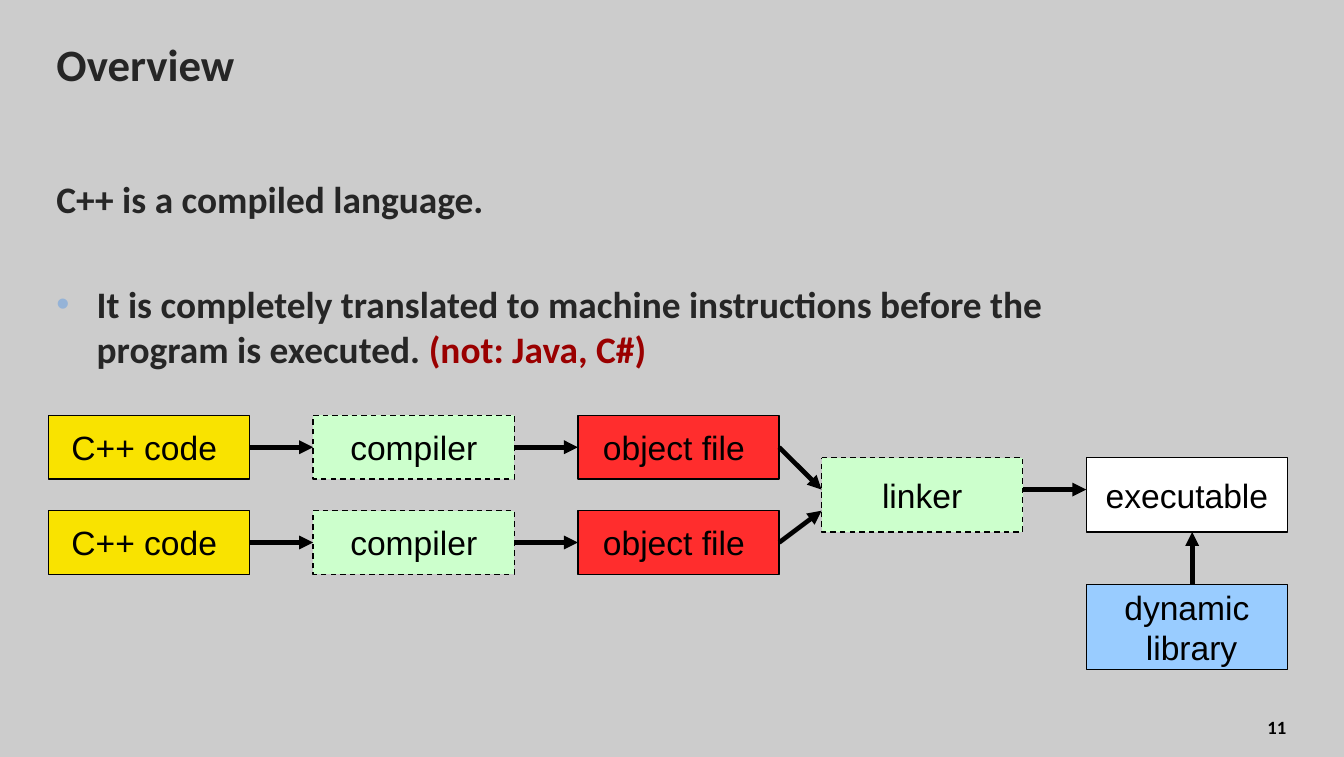
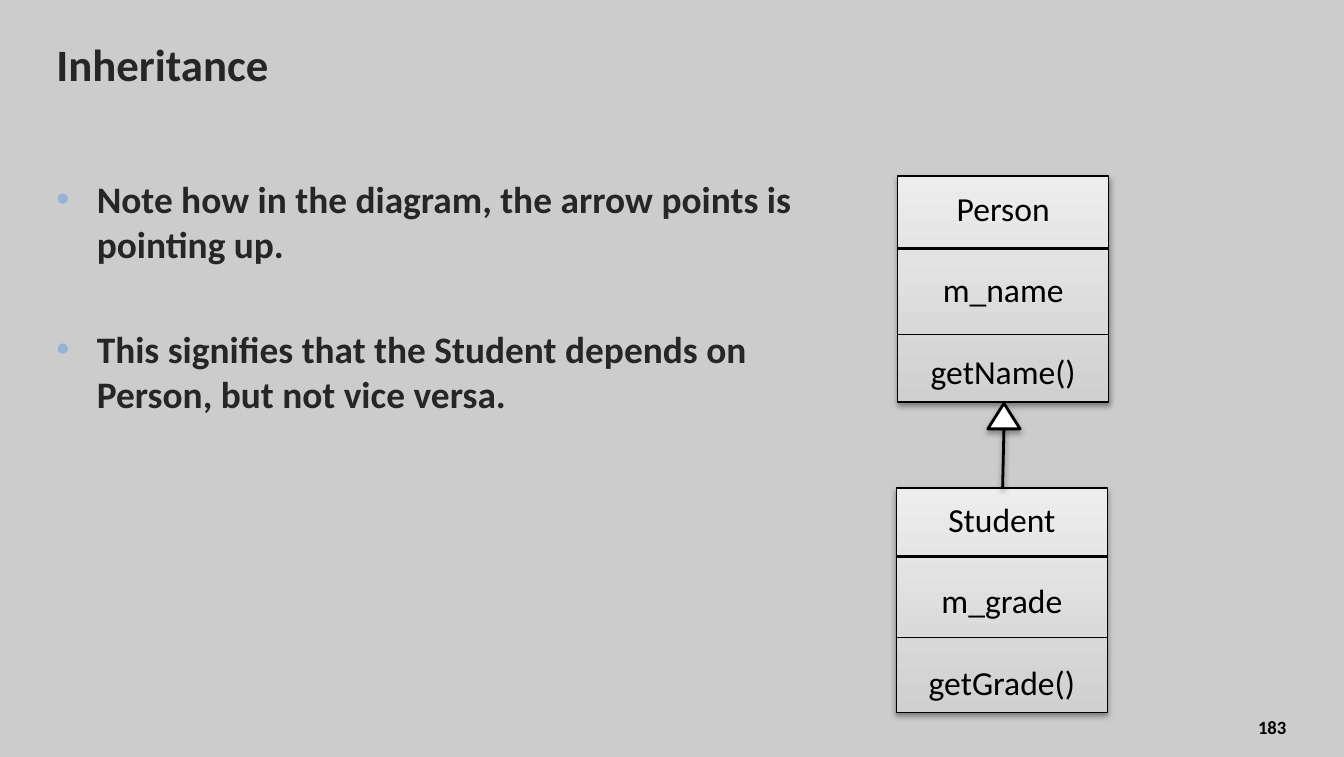
from dataclasses import dataclass
from lxml.etree import SubElement
from pptx import Presentation
from pptx.dml.color import RGBColor
from pptx.enum.dml import MSO_LINE_DASH_STYLE as Dash
from pptx.enum.shapes import MSO_CONNECTOR as Connector, MSO_SHAPE as Shape
from pptx.enum.text import MSO_ANCHOR as Anchor, PP_ALIGN as Align
from pptx.oxml.ns import qn
from pptx.util import Inches, Pt

GREY = RGBColor(0xCC, 0xCC, 0xCC)
CHARCOAL = RGBColor(0x26, 0x26, 0x26)
BLACK = RGBColor(0x00, 0x00, 0x00)
WHITE = RGBColor(0xFF, 0xFF, 0xFF)
DARK_RED = RGBColor(0x9A, 0x00, 0x00)
BULLET_BLUE = RGBColor(0x95, 0xB3, 0xD7)
YELLOW = RGBColor(0xF9, 0xE3, 0x00)
MINT = RGBColor(0xCC, 0xFF, 0xCC)
RED = RGBColor(0xFF, 0x2D, 0x2D)
SKY = RGBColor(0x99, 0xCC, 0xFF)
CLASS_BOTTOM = RGBColor(0xD0, 0xD0, 0xD0)
CLASS_TOP = RGBColor(0xED, 0xED, 0xED)

TITLE_FONT = {"name": "Calibri", "size": Pt(24), "bold": True}
BODY_FONT = {"name": "Calibri", "size": Pt(20), "bold": True}
NUMBER_FONT = {"name": "Calibri", "size": Pt(10), "bold": True}
FLOW_FONT = {"name": "Arial", "size": Pt(18)}
CLASS_FONT = {"name": "Calibri", "size": Pt(18)}
NO_MARGINS = {f"margin_{side}": 0 for side in ("left", "top", "right", "bottom")}


@dataclass
class Box:
    left: float
    top: float
    width: float
    height: float
    columns: int = 100
    rows: int = 100

    def point(self, column, row):
        return (self.left + self.width * column / self.columns,
                self.top + self.height * row / self.rows)

    def cut(self, column, row, wide, high, columns=100, rows=100):
        return Box(*self.point(column, row), self.width * wide / self.columns,
                   self.height * high / self.rows, columns, rows)

    def inches(self):
        return [Inches(side) for side in (self.left, self.top, self.width, self.height)]


PAGE = Box(0, 0, 10, 5.63)


def apply(target, formats):
    for name, value in formats.items():
        setattr(target, name, value)


def add_para(frame, index, spans, font, formats):
    para = frame.paragraphs[0] if index == 0 else frame.add_paragraph()
    apply(para, formats)
    for text, color in spans:
        span = para.add_run()
        span.text = text
        apply(span.font, font)
        span.font.color.rgb = color
    return para


def add_text_frame(page, box, **formats):
    frame = page.shapes.add_textbox(*box.inches()).text_frame
    apply(frame, {**NO_MARGINS, "word_wrap": True, **formats})
    return frame


def add_bullet(para):
    props = para._p.get_or_add_pPr()
    props.set("marL", str(Inches(0.3)))
    props.set("indent", str(-Inches(0.3)))
    color = SubElement(props, qn("a:buClr"))
    SubElement(color, qn("a:srgbClr"), val=str(BULLET_BLUE))
    SubElement(props, qn("a:buFont"), typeface="Arial")
    SubElement(props, qn("a:buChar"), char="•")


def add_shadow(effects, opacity=38, distance=1.6):
    shadow = SubElement(effects, qn("a:outerShdw"), blurRad=str(Pt(3.1)),
                        dist=str(Pt(distance)), dir="5400000", rotWithShape="0")
    color = SubElement(shadow, qn("a:srgbClr"), val=str(BLACK))
    SubElement(color, qn("a:alpha"), val=str(opacity * 1000))


def add_line(page, start, end, weight, arrow=False):
    ends = [Inches(place) for place in (*start, *end)]
    line = page.shapes.add_connector(Connector.STRAIGHT, *ends)
    line.line.color.rgb = BLACK
    line.line.width = Pt(weight)
    if arrow:
        SubElement(line.line._get_or_add_ln(), qn("a:tailEnd"), type="triangle")
    return SubElement(line._element.spPr, qn("a:effectLst"))


def add_outlined(page, kind, box, weight=0.75, fill=None):
    shape = page.shapes.add_shape(kind, *box.inches())
    shape.shadow.inherit = False
    if fill is not None:
        shape.fill.solid()
        shape.fill.fore_color.rgb = fill
    shape.line.color.rgb = BLACK
    shape.line.width = Pt(weight)
    return shape


def add_page(deck, title, number):
    page = deck.slides.add_slide(deck.slide_layouts[6])
    page.background.fill.solid()
    page.background.fill.fore_color.rgb = GREY
    heading = add_text_frame(page, PAGE.cut(4.2, 1.78, 82.8, 13.32),
                             vertical_anchor=Anchor.MIDDLE)
    add_para(heading, 0, [(title, CHARCOAL)], TITLE_FONT, {})
    footer = add_text_frame(page, PAGE.cut(88.2, 92.18, 7.5, 7.82),
                            vertical_anchor=Anchor.MIDDLE)
    add_para(footer, 0, [(number, BLACK)], NUMBER_FONT, {"alignment": Align.RIGHT})
    return page


def add_body(page, box, points):
    frame = add_text_frame(page, box)
    for index, (bulleted, spans) in enumerate(points):
        para = add_para(frame, index, spans, BODY_FONT,
                        {"space_before": Pt(32.4 if index else 4)})
        if bulleted:
            add_bullet(para)


def add_step(page, box, lines, fill, dashed=False):
    step = add_outlined(page, Shape.FLOWCHART_PROCESS, box, fill=fill)
    if dashed:
        step.line.dash_style = Dash.DASH
    apply(step.text_frame, {"word_wrap": False, "vertical_anchor": Anchor.MIDDLE})
    for index, text in enumerate(lines):
        add_para(step.text_frame, index, [(text, BLACK)], FLOW_FONT,
                 {"alignment": Align.CENTER})


def add_build_flow(page, grid):
    wide, high, pitch = 19, 6, 25
    stages = [("C++ code ", YELLOW, False), ("compiler", MINT, True),
              ("object file ", RED, False)]
    linker, executable = 73, 98
    arrows = []
    for top, entry in ((0, 7), (9, 9)):
        middle = top + high / 2
        for index, (text, fill, dashed) in enumerate(stages):
            left = index * pitch
            add_step(page, grid.cut(left, top, wide, high), [text], fill, dashed)
            last = index == len(stages) - 1
            target = (linker, entry) if last else (left + pitch, middle)
            arrows.append(((left + wide, middle), target))
    add_step(page, grid.cut(linker, 4, wide, 7), ["linker"], MINT, True)
    add_step(page, grid.cut(executable, 4, wide, 7), ["executable"], WHITE)
    add_step(page, grid.cut(executable, 16, wide, 8), ["dynamic", " library"], SKY)
    arrows += [((linker + wide, 7), (executable, 7)), ((108, 16), (108, 11))]
    for start, end in arrows:
        add_line(page, grid.point(*start), grid.point(*end), 2.5, arrow=True)


def add_class(page, box, members, dividers):
    card = add_outlined(page, Shape.RECTANGLE, box)
    card.fill.gradient()
    card.fill.gradient_angle = 90
    for stop, color in zip(card.fill.gradient_stops, (CLASS_BOTTOM, CLASS_TOP)):
        stop.color.rgb = color
    add_shadow(card._element.spPr.find(qn("a:effectLst")))
    apply(card.text_frame, {"word_wrap": True, "vertical_anchor": Anchor.MIDDLE})
    for index, text in enumerate(members):
        add_para(card.text_frame, index, [(text, BLACK)], CLASS_FONT,
                 {"alignment": Align.CENTER, "space_before": Pt(22 if index else 0)})
    for row, weight in zip(dividers, (2, 0.75)):
        add_line(page, box.point(0, row), box.point(100, row), weight)


def add_class_diagram(page, grid):
    add_class(page, grid.cut(66.8, 23.27, 15.7, 29.84),
              ["Person", "m_name", "getName()"], (32, 70))
    add_class(page, grid.cut(66.7, 64.48, 15.7, 29.66),
              ["Student", "m_grade", "getGrade()"], (30.5, 66.5))
    head = add_outlined(page, Shape.ISOSCELES_TRIANGLE,
                        grid.cut(73.5, 53.29, 2.4, 3.37), 1.5, WHITE)
    add_shadow(head._element.spPr.find(qn("a:effectLst")), 35, 1.8)
    add_shadow(add_line(page, grid.point(74.6, 64.48), grid.point(74.7, 56.66), 1.5))


def add_overview(deck):
    page = add_page(deck, "Overview", "11")
    add_body(page, PAGE.cut(4.2, 23.27, 82.6, 33.57), [
        (False, [("C++ is a compiled language.", CHARCOAL)]),
        (True, [("It is completely translated to machine instructions before "
                 "the program is executed. ", CHARCOAL),
                ("(not: Java, C#)", DARK_RED)]),
    ])
    add_build_flow(page, PAGE.cut(3.6, 54.88, 92.2, 33.57, columns=117, rows=24))


def add_inheritance(deck):
    page = add_page(deck, "Inheritance", "183")
    add_body(page, PAGE.cut(4.2, 23.27, 54.8, 33.93), [
        (True, [("Note how in the diagram, the arrow points is pointing up.",
                 CHARCOAL)]),
        (True, [("This signifies that the Student depends on Person, "
                 "but not vice versa.", CHARCOAL)]),
    ])
    add_class_diagram(page, PAGE)


def main():
    deck = Presentation()
    apply(deck, {"slide_width": Inches(PAGE.width), "slide_height": Inches(PAGE.height)})
    add_overview(deck)
    add_inheritance(deck)
    deck.save("out.pptx")


if __name__ == "__main__":
    main()
